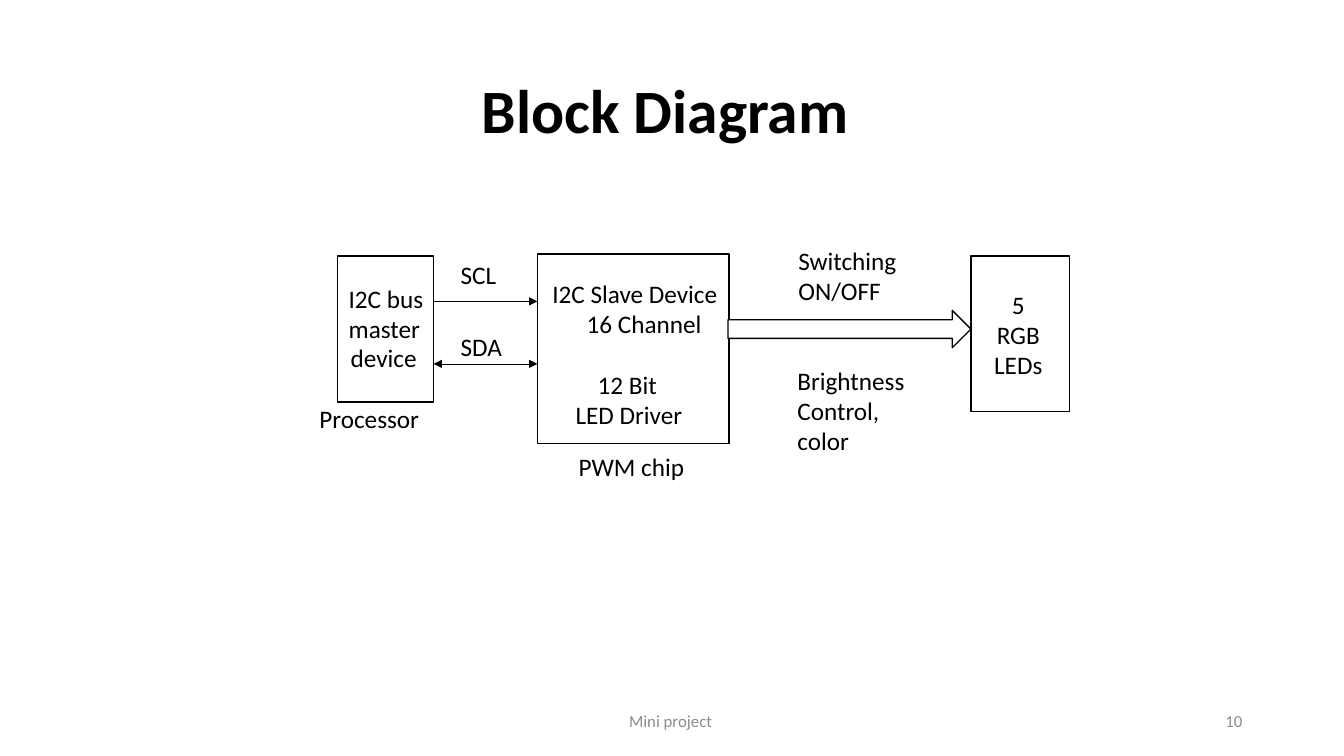
"""Build the block diagram slide of an I2C driven RGB LED project."""
from pptx import Presentation
from pptx.dml.color import RGBColor
from pptx.enum.shapes import MSO_CONNECTOR, MSO_SHAPE
from pptx.enum.text import MSO_ANCHOR, MSO_AUTO_SIZE, PP_ALIGN
from pptx.oxml.ns import qn
from pptx.util import Inches, Pt
from lxml.etree import SubElement

COLORS = {"ink": "000000", "paper": "FFFFFF", "footer": "8C8C8C"}
LEFT, CENTER, RIGHT = PP_ALIGN.LEFT, PP_ALIGN.CENTER, PP_ALIGN.RIGHT


def style_run(run, size, color, bold=False):
    """Apply the slide font to a run."""
    run.font.name = "Calibri"
    run.font.size = Pt(size)
    run.font.bold = bold
    run.font.color.rgb = RGBColor.from_string(COLORS[color])


presentation = Presentation()
presentation.slide_width = Inches(13.33)
presentation.slide_height = Inches(7.5)
slide = presentation.slides.add_slide(presentation.slide_layouts[6])

headings = [
    ("Block Diagram ", (0.92, 0.4, 11.5, 1.45), CENTER, 44, "ink", True),
    ("Mini project ", (4.42, 6.95, 4.5, 0.4), CENTER, 12, "footer", False),
    ("10", (9.42, 6.95, 3, 0.4), RIGHT, 12, "footer", False),
]
for text, box, alignment, size, color, bold in headings:
    shape = slide.shapes.add_textbox(*map(Inches, box))
    shape.text_frame.word_wrap = True
    shape.text_frame.vertical_anchor = MSO_ANCHOR.MIDDLE
    paragraph = shape.text_frame.paragraphs[0]
    paragraph.alignment = alignment
    paragraph.line_spacing = 0.9 if bold else 1.0
    run = paragraph.add_run()
    run.text = text
    style_run(run, size, color, bold)

blocks = [
    (MSO_SHAPE.RECTANGLE, (3.35, 2.54, 0.95, 1.45)),
    (MSO_SHAPE.RECTANGLE, (5.33, 2.52, 1.9, 1.88)),
    (MSO_SHAPE.RECTANGLE, (9.63, 2.54, 0.98, 1.54)),
    (MSO_SHAPE.RIGHT_ARROW, (7.22, 3.08, 2.41, 0.37)),
]
for kind, box in blocks:
    shape = slide.shapes.add_shape(kind, *map(Inches, box))
    shape.shadow.inherit = False
    shape.fill.solid()
    shape.fill.fore_color.rgb = RGBColor.from_string(COLORS["paper"])
    shape.line.color.rgb = RGBColor.from_string(COLORS["ink"])
    shape.line.width = Pt(1)

# Each line of a label is (text, left indent in inches, space before in points).
labels = [
    ((3.36, 2.76, 0.95, 0.71), LEFT, [("I2C bus master", 0, 0)]),
    ((3.38, 3.35, 0.95, 0.4), LEFT, [("device", 0, 0)]),
    ((3.07, 3.95, 2.03, 0.4), LEFT, [("Processor", 0, 0)]),
    ((5.38, 2.71, 1.85, 1.31), LEFT, [
        ("I2C Slave Device", 0, 0),
        ("16 Channel", 0.34, 0),
        ("12 Bit", 0.45, 22),
        ("LED Driver", 0.23, 0),
    ]),
    ((5.41, 4.43, 1.81, 0.4), LEFT, [("PWM chip", 0.23, 0)]),
    ((9.73, 2.82, 0.74, 1.01), CENTER, [("5 RGB LEDs", 0, 0)]),
    ((4.47, 2.52, 0.64, 0.41), LEFT, [("SCL", 0, 0)]),
    ((4.47, 3.24, 0.95, 0.4), LEFT, [("SDA", 0, 0)]),
    ((7.82, 2.38, 1.26, 0.71), LEFT, [("Switching ON/OFF", 0, 0)]),
    ((7.81, 3.57, 1.39, 1.01), LEFT, [("Brightness", 0, 0), ("Control, color", 0, 0)]),
]
for box, alignment, lines in labels:
    frame = slide.shapes.add_textbox(*map(Inches, box)).text_frame
    frame.word_wrap = True
    frame.auto_size = MSO_AUTO_SIZE.SHAPE_TO_FIT_TEXT
    for index, (text, indent, space_before) in enumerate(lines):
        paragraph = frame.add_paragraph() if index else frame.paragraphs[0]
        paragraph.alignment = alignment
        if indent:
            paragraph._p.get_or_add_pPr().set("marL", str(Inches(indent)))
        if space_before:
            paragraph.space_before = Pt(space_before)
        run = paragraph.add_run()
        run.text = text
        style_run(run, 18, "ink")

for y, ends in [(2.99, ["tailEnd"]), (3.61, ["headEnd", "tailEnd"])]:
    bus = slide.shapes.add_connector(
        MSO_CONNECTOR.STRAIGHT, Inches(4.3), Inches(y), Inches(5.33), Inches(y)
    )
    bus.line.color.rgb = RGBColor.from_string(COLORS["ink"])
    bus.line.width = Pt(0.5)
    for end in ends:
        SubElement(bus.line._get_or_add_ln(), qn(f"a:{end}"), type="triangle")
    SubElement(bus._element.spPr, qn("a:effectLst"))

presentation.save("out.pptx")
